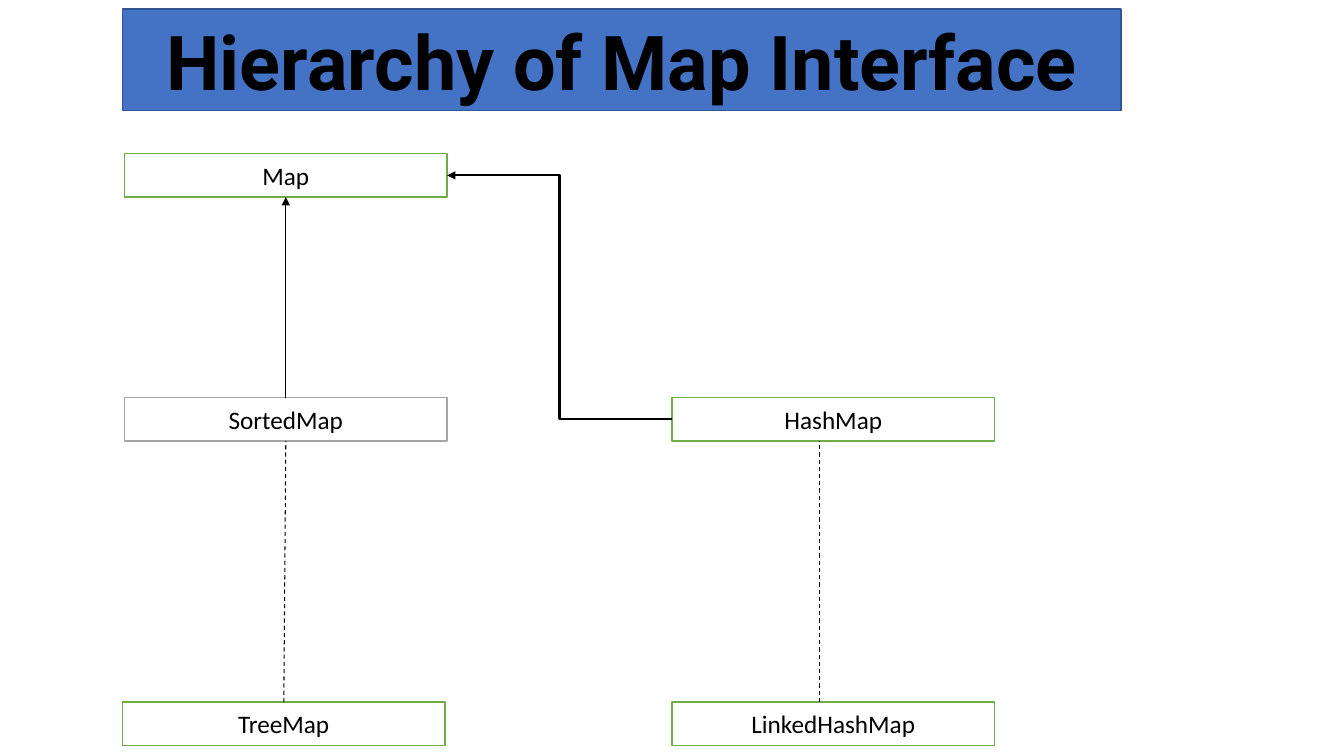
from lxml import etree
from pptx import Presentation
from pptx.dml.color import RGBColor
from pptx.enum.dml import MSO_LINE
from pptx.enum.shapes import MSO_CONNECTOR, MSO_SHAPE
from pptx.enum.text import MSO_ANCHOR, PP_ALIGN
from pptx.oxml.ns import qn
from pptx.util import Inches, Pt

RECTANGLE = MSO_SHAPE.RECTANGLE
STRAIGHT, ELBOW = MSO_CONNECTOR.STRAIGHT, MSO_CONNECTOR.ELBOW
DASH = MSO_LINE.DASH
MIDDLE, CENTER = MSO_ANCHOR.MIDDLE, PP_ALIGN.CENTER
TOP, LEFT, BOTTOM, RIGHT = range(4)
CELL = 0.5
BLANK_LAYOUT = 6


def color(value):
    return RGBColor.from_string(value)


def grid(cells):
    return Inches(cells * CELL)


def write(shape, text, size=18, font="Calibri", bold=False, fill="000000"):
    frame = shape.text_frame
    frame.word_wrap = True
    frame.vertical_anchor = MIDDLE
    paragraph = frame.paragraphs[0]
    paragraph.alignment = CENTER
    run = paragraph.add_run()
    run.text = text
    run.font.size = Pt(size)
    run.font.name = font
    run.font.bold = bold
    run.font.color.rgb = color(fill)


class Diagram:
    """Draws boxes and links on one slide, measured in half-inch grid cells."""

    ink, paper, blue, navy = "000000", "FFFFFF", "4472C4", "325491"
    green, gray = "70AD47", "A5A5A5"
    box_width, box_height = 6.4, 0.86

    def __init__(self, presentation):
        layout = presentation.slide_layouts[BLANK_LAYOUT]
        self.slide = presentation.slides.add_slide(layout)

    def box(self, text, column, row, width=box_width, height=box_height,
            fill=paper, outline=green, **text_format):
        shape = self.slide.shapes.add_shape(
            RECTANGLE, *map(grid, (column, row, width, height)))
        shape.shadow.inherit = False
        shape.fill.solid()
        shape.fill.fore_color.rgb = color(fill)
        shape.line.color.rgb = color(outline)
        shape.line.width = Pt(1)
        write(shape, text, **text_format)
        return shape

    def line(self, start=(0, 0), end=(0, 0), kind=STRAIGHT, width=0.75,
             dash=None, arrow=False):
        connector = self.slide.shapes.add_connector(
            kind, *map(grid, (*start, *end)))
        connector.line.color.rgb = color(self.ink)
        connector.line.width = Pt(width)
        if dash:
            connector.line.dash_style = dash
        properties = connector.element.spPr
        if arrow:
            outline = properties.find(qn("a:ln"))
            etree.SubElement(outline, qn("a:tailEnd"), type="triangle")
        etree.SubElement(properties, qn("a:effectLst"))
        return connector

    def link(self, child, child_side, parent, parent_side, **line_format):
        connector = self.line(**line_format)
        connector.begin_connect(child, child_side)
        connector.end_connect(parent, parent_side)


def main():
    presentation = Presentation()
    presentation.slide_width = Inches(13.33)
    presentation.slide_height = Inches(7.5)
    diagram = Diagram(presentation)

    title_column, left_column, right_column = 2.43, 2.47, 13.33
    map_row, child_row, leaf_row = 3.05, 7.89, 13.93

    diagram.box("Hierarchy of Map Interface", title_column, 0.18, 19.81, 2.01,
                fill=diagram.blue, outline=diagram.navy,
                size=54, font="Roboto", bold=True)
    map_box = diagram.box("Map", left_column, map_row)
    sorted_map = diagram.box("SortedMap", left_column, child_row,
                             outline=diagram.gray)
    tree_map = diagram.box("TreeMap", title_column, leaf_row)
    hash_map = diagram.box("HashMap", right_column, child_row)
    diagram.box("LinkedHashMap", right_column, leaf_row)

    diagram.link(sorted_map, TOP, map_box, BOTTOM, width=0.5, arrow=True)
    diagram.link(tree_map, TOP, sorted_map, BOTTOM, dash=DASH)
    diagram.link(hash_map, LEFT, map_box, RIGHT,
                 kind=ELBOW, width=1.5, arrow=True)
    linked_column = 16.26
    diagram.line((linked_column, leaf_row),
                 (linked_column, child_row + diagram.box_height), dash=DASH)

    presentation.save("out.pptx")


if __name__ == "__main__":
    main()
